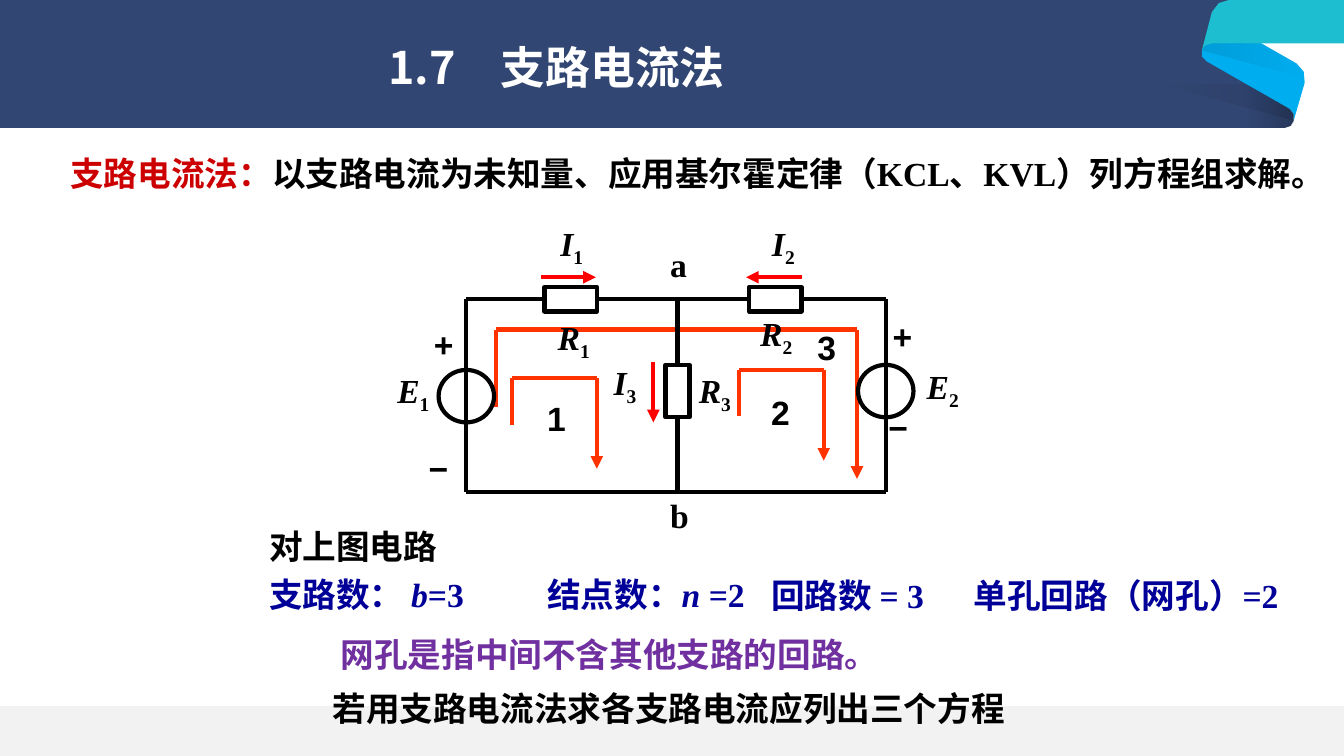
"""Build the slide on the branch current method for circuits."""
from dataclasses import dataclass
from typing import Optional

from lxml import etree
from pptx import Presentation
from pptx.dml.color import RGBColor
from pptx.enum.shapes import MSO_CONNECTOR, MSO_SHAPE
from pptx.enum.text import MSO_ANCHOR, PP_ALIGN
from pptx.oxml.ns import qn
from pptx.util import Inches, Pt

STRAIGHT = MSO_CONNECTOR.STRAIGHT
RECTANGLE, OVAL = MSO_SHAPE.RECTANGLE, MSO_SHAPE.OVAL
LEFT, CENTER = PP_ALIGN.LEFT, PP_ALIGN.CENTER
TOP, MIDDLE = MSO_ANCHOR.TOP, MSO_ANCHOR.MIDDLE
BLACK = RGBColor(0x00, 0x00, 0x00)
WHITE = RGBColor(0xFF, 0xFF, 0xFF)
NAVY = RGBColor(0x31, 0x46, 0x72)
SKY = RGBColor(0x00, 0xAD, 0xEF)
TEAL = RGBColor(0x1D, 0xBE, 0xD0)
PALE = RGBColor(0xF2, 0xF2, 0xF2)
CRIMSON = RGBColor(0xCC, 0x00, 0x00)
BLUE = RGBColor(0x00, 0x00, 0x99)
PURPLE = RGBColor(0x70, 0x30, 0xA0)
ORANGE = RGBColor(0xFF, 0x33, 0x00)
RED = RGBColor(0xFF, 0x00, 0x00)
SERIF, SANS, CJK = "Times New Roman", "Arial", "Noto Sans CJK SC"
LINE_WIDTH = 3
TOP_WIRE, BOTTOM_WIRE = 2.97, 4.88
LEFT_WIRE, MIDDLE_WIRE, RIGHT_WIRE = 4.62, 6.72, 8.79


@dataclass
class Panel:
    points: list
    color: RGBColor
    opacity: Optional[int] = None
    angle: int = 0


@dataclass
class Span:
    text: str
    italic: bool = False
    color: Optional[RGBColor] = None


@dataclass
class Line:
    spans: list
    color: RGBColor = BLACK
    spacing: float = 1.1
    before: float = 0
    tab: Optional[float] = None


@dataclass
class TextBlock:
    left: float
    top: float
    width: float
    height: float
    lines: list


@dataclass
class Label:
    center: float
    top: float
    text: str
    subscript: str = ""
    font: str = SERIF


@dataclass
class Loop:
    left: float
    right: float
    top: float
    start: float
    end: float


@dataclass
class Part:
    kind: int
    left: float
    top: float
    width: float
    height: float


PANELS = [
    Panel([(0, 0), (12.43, 0), (12.43, 0.72), (12.79, 1.08), (12.83, 1.13),
           (12.83, 1.2), (12.8, 1.25), (12.74, 1.27), (0, 1.27)], NAVY),
    Panel([(11.97, 0.61), (12.79, 1.08), (12.83, 1.13), (12.83, 1.2), (12.94, 0.82),
           (12.93, 0.71), (12.86, 0.63), (12.44, 0.39), (12.02, 0.41),
           (11.95, 0.44), (11.92, 0.5), (11.92, 0.56)], SKY),
    Panel([(11.92, 0.5), (11.95, 0.45), (12.02, 0.43), (13.33, 0.43), (13.33, 0),
           (12.19, 0), (12.09, 0.03), (12.02, 0.12)], TEAL),
    Panel([(12.37, 0.84), (12.37, 1.27), (12.74, 1.27), (12.8, 1.25), (12.83, 1.2),
           (12.83, 1.13), (12.79, 1.08)], BLACK, 20, 180),
    Panel([(11.52, 0.84), (12.83, 1.2), (12.83, 1.13), (12.79, 1.08),
           (12.37, 0.84)], BLACK, 10, 180),
    Panel([(11.92, 0.5), (12.94, 0.77), (12.92, 0.69), (12.86, 0.63), (12.5, 0.43),
           (12.02, 0.43), (11.95, 0.45)], BLACK, 10),
    Panel([(0, 7), (13.33, 7), (13.33, 7.5), (0, 7.5)], PALE),
]
TEXT_BLOCKS = [
    TextBlock(0.6, 1.47, 12.4, 0.9, [Line([
        Span("支路电流法：", color=CRIMSON),
        Span("以支路电流为未知量、应用基尔霍定律（KCL、KVL）列方程组求解。")], spacing=1)]),
    TextBlock(2.57, 5.17, 5.1, 0.99, [
        Line([Span("对上图电路")], spacing=1),
        Line([Span("支路数： "), Span("b", True), Span("=3\t结点数："),
              Span("n", True), Span(" =2")], BLUE, before=2.4, tab=2.76)]),
    TextBlock(7.55, 5.61, 5.7, 0.54, [
        Line([Span("回路数 = 3\t单孔回路（网孔）=2")], BLUE, tab=2.01)]),
    TextBlock(3.28, 6.2, 8.17, 0.54, [Line([Span("网孔是指中间不含其他支路的回路。")], PURPLE)]),
    TextBlock(3.2, 6.74, 8.17, 0.54, [Line([Span("若用支路电流法求各支路电流应列出三个方程")])]),
]
LOOPS = [Loop(5.08, 5.92, 3.75, 4.22, 4.65), Loop(7.33, 8.17, 3.67, 4.13, 4.57),
         Loop(4.92, 8.5, 3.27, 4.04, 4.75)]
CURRENTS = [(5.37, 2.75, 5.91, 2.75), (7.95, 2.75, 7.4, 2.75), (6.48, 3.59, 6.48, 4.19)]
R1 = Part(RECTANGLE, 5.4, 2.85, 0.52, 0.24)
R2 = Part(RECTANGLE, 7.43, 2.85, 0.52, 0.24)
R3 = Part(RECTANGLE, 6.6, 3.62, 0.24, 0.52)
SOURCES = [Part(OVAL, 4.35, 3.67, 0.55, 0.52), Part(OVAL, 8.51, 3.62, 0.55, 0.52)]
LABELS = [
    Label(5.52, 3.95, "1", font=SANS), Label(7.74, 3.89, "2", font=SANS),
    Label(8.2, 3.24, "3", font=SANS),
    Label(4.4, 3.21, "+", font=SANS), Label(4.35, 4.44, "−", font=SANS),
    Label(8.95, 3.13, "+", font=SANS), Label(8.91, 4.04, "−", font=SANS),
    Label(6.73, 2.42, "a"), Label(6.74, 4.91, "b"),
    Label(4.1, 3.67, "E", "1"), Label(9.35, 3.63, "E", "2"),
    Label(5.69, 3.14, "R", "1"), Label(7.7, 3.1, "R", "2"), Label(7.09, 3.67, "R", "3"),
    Label(5.67, 2.21, "I", "1"), Label(7.77, 2.21, "I", "2"), Label(6.2, 3.59, "I", "3"),
]


def style_font(font, name: str, color: RGBColor, size: int = 24) -> None:
    """Apply the bold style shared by all text."""
    font.name, font.size, font.bold = name, Pt(size), True
    font.color.rgb = color


def draw_panel(page, panel: Panel) -> None:
    """Draw a filled outline, fading out when it has an opacity."""
    points = [(Inches(x), Inches(y)) for x, y in panel.points]
    builder = page.shapes.build_freeform(*points[0])
    builder.add_line_segments(points[1:])
    shape = builder.convert_to_shape()
    shape.shadow.inherit = False
    shape.line.fill.background()
    if panel.opacity is None:
        shape.fill.solid()
        shape.fill.fore_color.rgb = panel.color
        return
    shape.fill.gradient()
    shape.fill.gradient_angle = panel.angle
    for stop in shape.fill.gradient_stops:
        stop.color.rgb = panel.color
    colors = shape.element.spPr.iter(qn("a:srgbClr"))
    for color, opacity in zip(list(colors), (panel.opacity, 0)):
        etree.SubElement(color, qn("a:alpha"), val=str(opacity * 1000))


def draw_line(page, ends: tuple, color: RGBColor = BLACK, arrow: bool = False):
    """Draw a straight line between two points."""
    line = page.shapes.add_connector(STRAIGHT, *map(Inches, ends))
    line.line.color.rgb = color
    line.line.width = Pt(LINE_WIDTH)
    if arrow:
        etree.SubElement(line.line._get_or_add_ln(), qn("a:tailEnd"), type="triangle")
    etree.SubElement(line.element.spPr, qn("a:effectLst"))
    return line


def draw_part(page, part: Part):
    """Draw the hollow symbol of a circuit part."""
    shape = page.shapes.add_shape(
        part.kind, *map(Inches, (part.left, part.top, part.width, part.height)))
    shape.shadow.inherit = False
    shape.fill.background()
    shape.line.color.rgb = BLACK
    shape.line.width = Pt(LINE_WIDTH)
    return shape


def draw_loop(page, loop: Loop) -> None:
    """Draw the three sides of a loop, ending in an arrow."""
    draw_line(page, (loop.left, loop.top, loop.right, loop.top), ORANGE)
    draw_line(page, (loop.left, loop.top, loop.left, loop.start), ORANGE)
    draw_line(page, (loop.right, loop.top, loop.right, loop.end), ORANGE, True)


def draw_circuit(page) -> None:
    """Draw the parts and the wires that join them."""
    for source in SOURCES:
        draw_part(page, source)
    first, second, third = (draw_part(page, part) for part in (R1, R2, R3))
    draw_line(page, (LEFT_WIRE, TOP_WIRE, LEFT_WIRE, BOTTOM_WIRE))
    draw_line(page, (RIGHT_WIRE, TOP_WIRE, RIGHT_WIRE, BOTTOM_WIRE))
    draw_line(page, (LEFT_WIRE, BOTTOM_WIRE, RIGHT_WIRE, BOTTOM_WIRE))
    bridge = draw_line(page, (R1.left + R1.width, TOP_WIRE, R2.left, TOP_WIRE))
    bridge.begin_connect(first, 3)
    bridge.end_connect(second, 1)
    for x, y, resistor, side in (
            (LEFT_WIRE, TOP_WIRE, first, 1), (RIGHT_WIRE, TOP_WIRE, second, 3),
            (MIDDLE_WIRE, TOP_WIRE, third, 0), (MIDDLE_WIRE, BOTTOM_WIRE, third, 2)):
        draw_line(page, (x, y, x, y)).end_connect(resistor, side)


def draw_label(page, label: Label) -> None:
    """Draw a centred symbol with an optional subscript."""
    box = page.shapes.add_textbox(*map(Inches, (label.center - 0.25, label.top, 0.5, 0.4)))
    frame = box.text_frame
    frame.word_wrap = False
    frame.margin_left = frame.margin_right = frame.margin_top = frame.margin_bottom = 0
    para = frame.paragraphs[0]
    para.alignment = CENTER
    style_font(para.font, label.font, BLACK)
    span = para.add_run()
    span.text = label.text
    if label.subscript:
        span.font.italic = True
        lower = para.add_run()
        lower.text = label.subscript
        lower._r.get_or_add_rPr().set("baseline", "-25000")


def draw_text(page, block: TextBlock) -> None:
    """Draw a box of styled lines."""
    box = page.shapes.add_textbox(
        *map(Inches, (block.left, block.top, block.width, block.height)))
    frame = box.text_frame
    frame.word_wrap = True
    frame.vertical_anchor = TOP
    for index, line in enumerate(block.lines):
        para = frame.add_paragraph() if index else frame.paragraphs[0]
        para.line_spacing = line.spacing
        para.space_before = Pt(line.before)
        if line.tab:
            tabs = etree.SubElement(para._p.get_or_add_pPr(), qn("a:tabLst"))
            etree.SubElement(tabs, qn("a:tab"), pos=str(Inches(line.tab)), algn="l")
        style_font(para.font, SERIF, line.color)
        for part in line.spans:
            span = para.add_run()
            span.text = part.text
            if part.italic:
                span.font.italic = True
            if part.color is not None:
                span.font.color.rgb = part.color


def place_title(page) -> None:
    """Write the title above the header band."""
    title = page.shapes.title
    title.left, title.top, title.width, title.height = map(Inches, (3.75, 0.36, 5.5, 0.66))
    title.text_frame.text = "1.7　支路电流法"
    title.text_frame.vertical_anchor = MIDDLE
    para = title.text_frame.paragraphs[0]
    para.alignment = LEFT
    para.line_spacing = 0.9
    style_font(para.font, CJK, WHITE, 32)
    page.shapes.element.append(title.element)


def main() -> None:
    """Build and save the deck."""
    deck = Presentation()
    deck.slide_width, deck.slide_height = Inches(13.33), Inches(7.5)
    page = deck.slides.add_slide(deck.slide_layouts[5])
    for panel in PANELS:
        draw_panel(page, panel)
    place_title(page)
    for loop in LOOPS:
        draw_loop(page, loop)
    draw_circuit(page)
    for ends in CURRENTS:
        draw_line(page, ends, RED, True)
    for label in LABELS:
        draw_label(page, label)
    for block in TEXT_BLOCKS:
        draw_text(page, block)
    deck.save("out.pptx")


if __name__ == "__main__":
    main()
